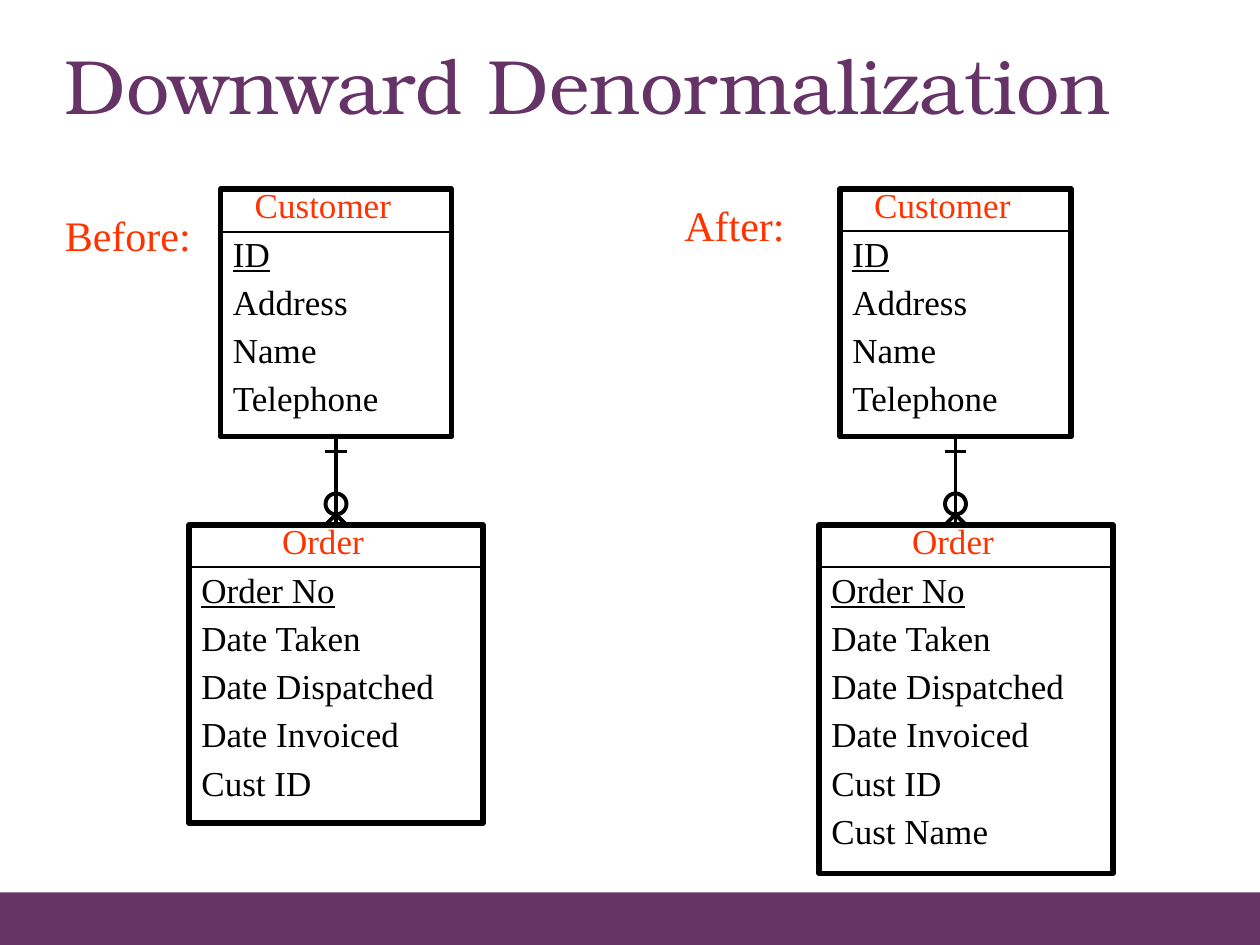
import pptx
import pptx.util
import pptx.dml.color
import pptx.enum.shapes
import pptx.enum.text
import pptx.oxml.ns
import lxml.etree

Pt = pptx.util.Pt
RGB = pptx.dml.color.RGBColor.from_string
FORM = pptx.enum.shapes.MSO_SHAPE
ALIGN = pptx.enum.text.PP_ALIGN
ANCHOR = pptx.enum.text.MSO_ANCHOR

theme = {
    "plum": RGB("663366"), "red": RGB("FF3300"), "black": RGB("000000"),
    "head": "TeX Gyre Bonum", "body": "Times New Roman",
    "title": Pt(44), "label": Pt(24), "field": Pt(20),
    "frame": Pt(3), "link": Pt(2.25), "rule": Pt(0.75),
}

deck = pptx.Presentation()
deck.slide_width = pptx.util.Inches(10)
deck.slide_height = pptx.util.Inches(7.5)
slide = deck.slides.add_slide(deck.slide_layouts[6])
shapes = slide.shapes
unit = deck.slide_width / 120  # the grid has 120 columns and 90 rows


def grid(*cells):
    return [round(cell * unit) for cell in cells]


def stroke(x1, y1, x2, y2, width):
    line = shapes.add_connector(pptx.enum.shapes.MSO_CONNECTOR.STRAIGHT,
                                *grid(x1, y1, x2, y2))
    line.line.color.rgb = theme["black"]
    line.line.width = width
    lxml.etree.SubElement(line._element.spPr, pptx.oxml.ns.qn("a:effectLst"))
    return line


# Footer band
band = shapes.add_shape(FORM.RECTANGLE, *grid(0, 85, 120, 5))
band.shadow.inherit = False
band.fill.solid()
band.fill.fore_color.rgb = theme["plum"]
band.line.fill.background()

# Title and side labels: text, left, top, width, height, font, size, colour
texts = [
    ("Downward Denormalization", 5, 3, 112, 12.6, "head", "title", "plum"),
    ("Before:", 5, 19.4, 14.4, 6, "body", "label", "red"),
    ("After:", 64, 18.4, 12, 6, "body", "label", "red"),
]
for text, x, y, w, h, font, size, tint in texts:
    frame = shapes.add_textbox(*grid(x, y, w, h)).text_frame
    frame.word_wrap = size == "title"
    frame.vertical_anchor = ANCHOR.TOP
    para = frame.paragraphs[0]
    para.text = text
    para.font.name = theme[font]
    para.font.size = theme[size]
    para.font.color.rgb = theme[tint]

# Entities: name, key and other fields; the key is underlined
buyer = ["Customer", "ID", "Address", "Name", "Telephone"]
order = ["Order", "Order No", "Date Taken", "Date Dispatched",
         "Date Invoiced", "Cust ID"]

# Each side: middle of the link, then left, top, width, height, rule, rows
sides = [
    (32, [(21, 18, 22, 23.6, 22.1, buyer), (18, 50, 28, 28.4, 54, order)]),
    (91, [(80, 18, 22, 23.6, 22, buyer),
          (78, 50, 28, 33.2, 54, order + ["Cust Name"])]),
]
for mid, tables in sides:
    boxes = []
    for x, y, w, h, rule, rows in tables:
        box = shapes.add_shape(FORM.RECTANGLE, *grid(x, y, w, h))
        box.shadow.inherit = False
        box.fill.background()
        box.line.color.rgb = theme["black"]
        box.line.width = theme["frame"]
        boxes.append(box)
        frame = box.text_frame
        frame.word_wrap = True
        frame.vertical_anchor = ANCHOR.TOP
        for i, row in enumerate(rows):
            para = frame.paragraphs[0] if i == 0 else frame.add_paragraph()
            para.text = row
            para.alignment = ALIGN.LEFT if i else ALIGN.CENTER
            para.line_spacing = 0.7
            para.space_before = Pt(10.8 if i else 0)
            para.font.name = theme["body"]
            para.font.size = theme["field"]
            para.font.color.rgb = theme["black" if i else "red"]
            para.font.underline = i == 1
            if i == 0:  # right indent sets the name left of the middle
                para._p.get_or_add_pPr().set("marR", str(Pt(15)))
        stroke(x, rule, x + w, rule, theme["rule"])

    # One-to-many link with bar, ring and crow's foot
    link = stroke(mid, 42, mid, 50, theme["link"])
    link.begin_connect(boxes[0], 2)
    if tables[1][0] + tables[1][2] / 2 == mid:
        link.end_connect(boxes[1], 0)
    for toe in (mid - 1, mid + 1):
        stroke(mid, 49, toe, 50, theme["link"])
    stroke(mid - 1, 43, mid + 1, 43, theme["link"])
    ring = shapes.add_shape(FORM.OVAL, *grid(mid - 1, 47, 2, 2))
    ring.shadow.inherit = False
    ring.fill.background()
    ring.line.color.rgb = theme["black"]
    ring.line.width = theme["link"]

deck.save("out.pptx")
